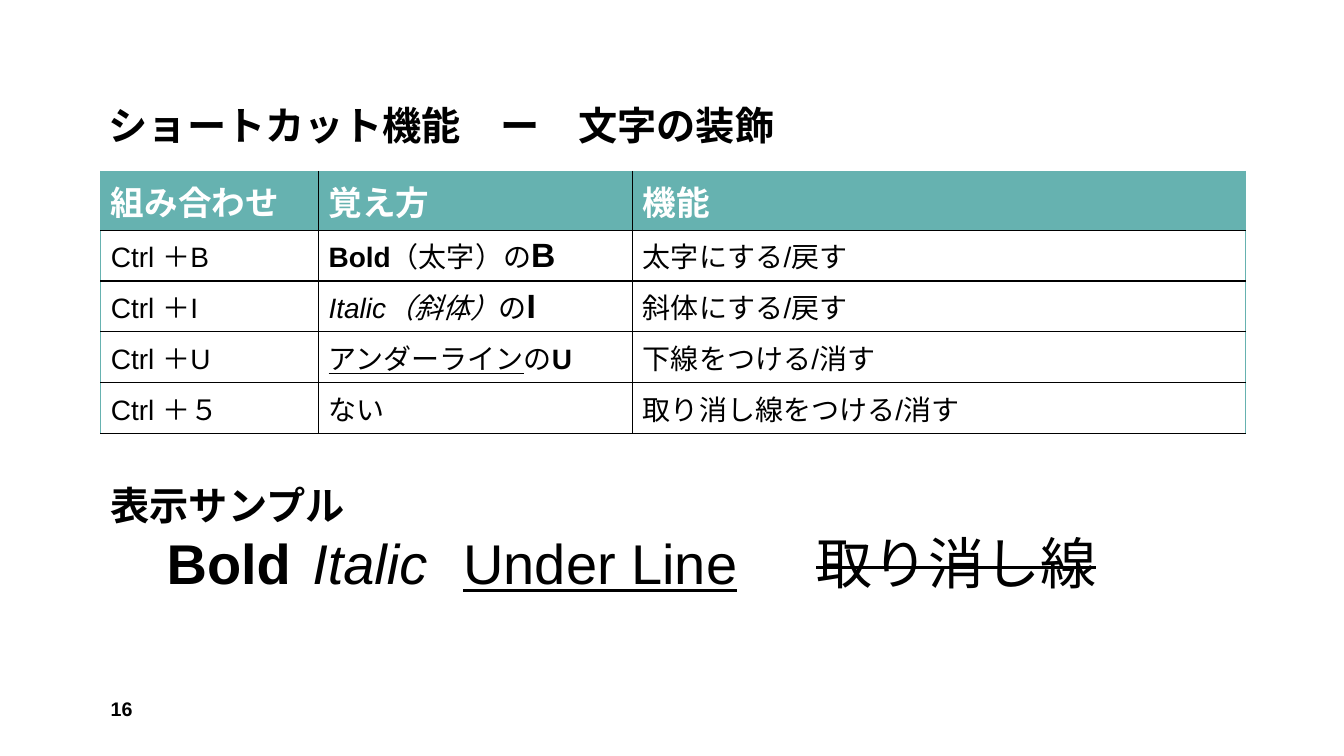
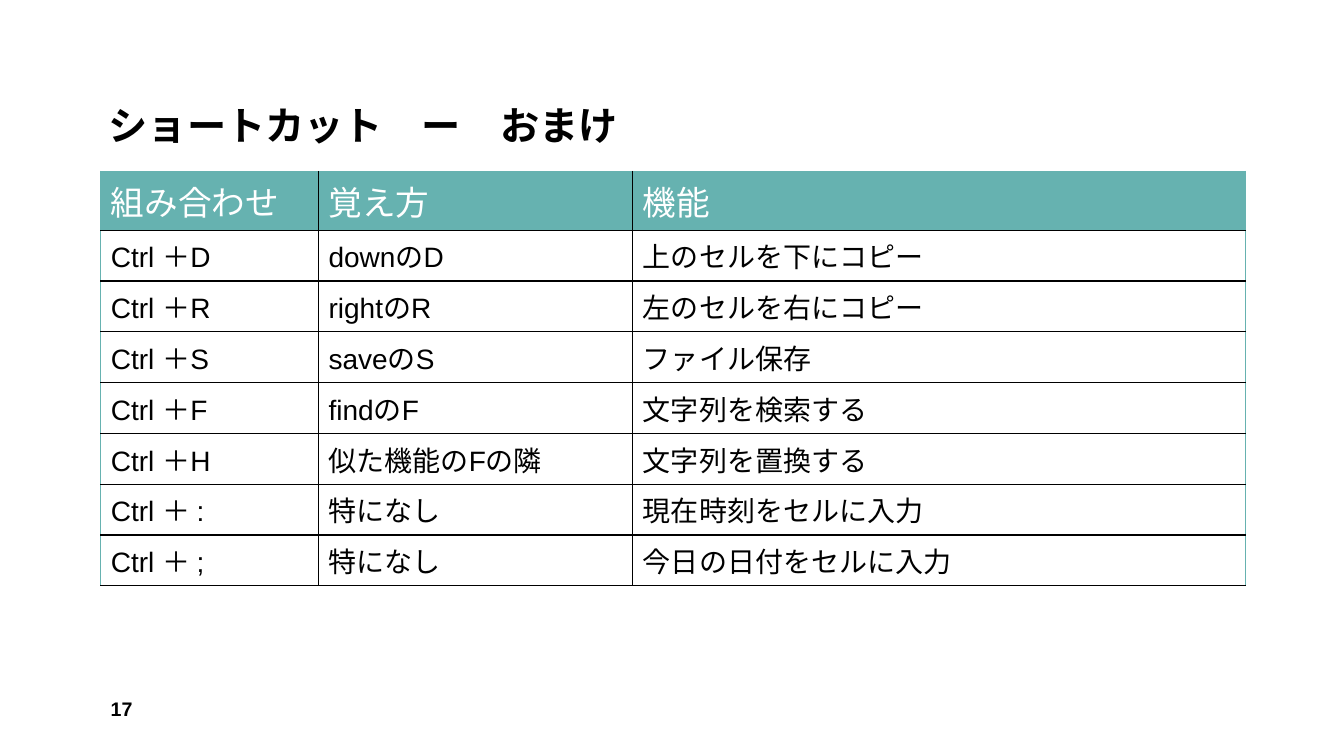
"""Build two slides of keyboard shortcut tables with decoration samples."""
import pptx
import pptx.dml.color
import pptx.enum.lang
import pptx.enum.text
import pptx.oxml
import pptx.oxml.ns
import pptx.util

Pt = pptx.util.Pt
COLORS = {"teal": "66B2B0", "black": "000000", "white": "FFFFFF"}
FONT = "Arial"
LEFT = 72
HEADERS = ["組み合わせ", "覚え方", "機能"]
COL_WIDTHS = [155.5, 224.6, 437.8]
HEADER_HEIGHT, ROW_HEIGHT = 42, 36.3

SLIDES = [
    {
        "number": 16,
        "title": "ショートカット機能　ー　文字の装飾",
        "header_style": "b",
        "rows": [
            ("Ctrl ＋B", [("Bold", "b", 20), ("（太字）の", "", 20), ("B", "b", 24)], "太字にする/戻す"),
            ("Ctrl ＋I", [("Italic（斜体）", "i", 20), ("の", "", 20), ("I", "b", 24)], "斜体にする/戻す"),
            ("Ctrl ＋U", [("アンダーライン", "u", 20), ("の", "", 20), ("U", "b", 20)], "下線をつける/消す"),
            ("Ctrl ＋５", "ない", "取り消し線をつける/消す"),
        ],
        "samples": [
            [("表示サンプル", "b", 28)],
            [("　Bold\t", "b", 40), ("Italic\t", "i", 40), ("Under Line", "u", 40),
             ("\t\t", "", 40), ("取り消し線", "s", 40)],
        ],
    },
    {
        "number": 17,
        "title": "ショートカット　ー　おまけ",
        "header_style": "",
        "rows": [
            ("Ctrl ＋D", "downのD", "上のセルを下にコピー"),
            ("Ctrl ＋R", "rightのR", "左のセルを右にコピー"),
            ("Ctrl ＋S", "saveのS", "ファイル保存"),
            ("Ctrl ＋F", "findのF", "文字列を検索する"),
            ("Ctrl ＋H", "似た機能のFの隣", "文字列を置換する"),
            ("Ctrl ＋ :", "特になし", "現在時刻をセルに入力"),
            ("Ctrl ＋ ;", "特になし", "今日の日付をセルに入力"),
        ],
        "samples": [],
    },
]


def add_runs(p, runs, color="black"):
    for text, style, size in runs:
        r = p.add_run()
        r.text = text
        r.font.name = FONT
        r.font.size = Pt(size)
        r.font.bold = "b" in style
        r.font.italic = "i" in style
        r.font.underline = "u" in style
        r.font.language_id = pptx.enum.lang.MSO_LANGUAGE_ID.JAPANESE
        r.font.color.rgb = pptx.dml.color.RGBColor.from_string(COLORS[color])
        if "s" in style:
            r.font._element.set("strike", "sngStrike")


def style_cell(cell, fill, borders):
    cell.fill.solid()
    cell.fill.fore_color.rgb = pptx.dml.color.RGBColor.from_string(COLORS[fill])
    tcPr = cell._tc.get_or_add_tcPr()
    for i, (side, color) in enumerate(borders.items()):
        tcPr.insert(i, pptx.oxml.parse_xml(
            f'<a:ln{side} {pptx.oxml.ns.nsdecls("a")} w="12700"><a:solidFill>'
            f'<a:srgbClr val="{COLORS[color]}"/></a:solidFill></a:ln{side}>'))


prs = pptx.Presentation()
prs.slide_width, prs.slide_height = Pt(960), Pt(540)

for data in SLIDES:
    s = prs.slides.add_slide(prs.slide_layouts[5])

    title = s.shapes.title
    title.left, title.top, title.width, title.height = Pt(70.5), Pt(6), Pt(819), Pt(104)
    tf = title.text_frame
    tf.auto_size = pptx.enum.text.MSO_AUTO_SIZE.NONE
    tf.vertical_anchor = pptx.enum.text.MSO_ANCHOR.BOTTOM
    p = tf.paragraphs[0]
    p.alignment = pptx.enum.text.PP_ALIGN.LEFT
    p.line_spacing = 0.9
    add_runs(p, [(data["title"], "b", 28)])

    rows = [HEADERS] + data["rows"]
    height = HEADER_HEIGHT + ROW_HEIGHT * len(data["rows"])
    table = s.shapes.add_table(len(rows), len(HEADERS), Pt(LEFT), Pt(122.4),
                               Pt(sum(COL_WIDTHS)), Pt(height)).table
    for column, width in zip(table.columns, COL_WIDTHS):
        column.width = Pt(width)
    for i, row in enumerate(rows):
        header = i == 0
        table.rows[i].height = Pt(HEADER_HEIGHT if header else ROW_HEIGHT)
        for j, content in enumerate(row):
            cell = table.cell(i, j)
            style_cell(cell, "teal" if header else "white", {
                "L": "teal" if j == 0 else "black",
                "R": "teal" if j == len(HEADERS) - 1 else "black",
                "T": "teal" if header else "black",
                "B": "black",
            })
            if header:
                content = [(content, data["header_style"], 24)]
            elif isinstance(content, str):
                content = [(content, "", 20)]
            add_runs(cell.text_frame.paragraphs[0], content, "white" if header else "black")

    sp = s.shapes.add_textbox(Pt(LEFT), Pt(491.8), Pt(210), Pt(28.8))
    tf = sp.text_frame
    tf.word_wrap = True
    tf.vertical_anchor = pptx.enum.text.MSO_ANCHOR.MIDDLE
    add_runs(tf.paragraphs[0], [(str(data["number"]), "b", 14)])

    if data["samples"]:
        sp = s.shapes.add_textbox(Pt(LEFT), Pt(340), Pt(816.5), Pt(90))
        tf = sp.text_frame
        tf.word_wrap = True
        for i, runs in enumerate(data["samples"]):
            p = tf.add_paragraph() if i else tf.paragraphs[0]
            add_runs(p, runs)

prs.save("out.pptx")
